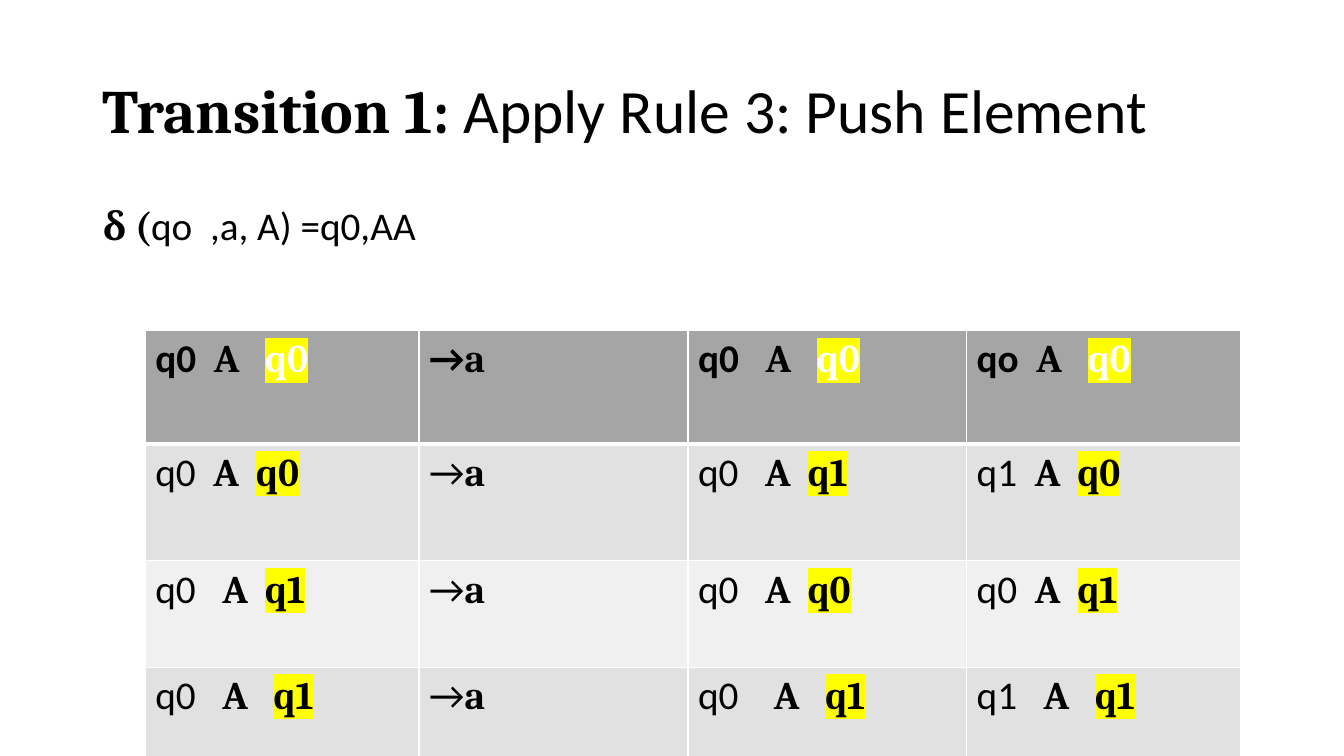
from lxml.etree import SubElement
from pptx import Presentation
from pptx.dml.color import RGBColor
from pptx.enum.text import MSO_ANCHOR, MSO_AUTO_SIZE, PP_ALIGN
from pptx.oxml import parse_xml
from pptx.oxml.ns import nsdecls, qn
from pptx.util import Cm, Pt

TITLE = ("Transition 1: ", "Apply Rule 3: Push Element")
FORMULA = ("δ (", "qo  ,a, A) =q0,AA")
TRANSITIONS = [
    [("q0  ", "A   ", "q0"), ("→", "a"), ("q0   ", "A   ", "q0"), ("qo  ", "A   ", "q0")],
    [("q0  ", "A  ", "q0"), ("→", "a"), ("q0   ", "A  ", "q1"), ("q1  ", "A  ", "q0")],
    [("q0   ", "A  ", "q1"), ("→", "a"), ("q0   ", "A  ", "q0"), ("q0  ", "A  ", "q1")],
    [("q0   ", "A   ", "q1"), ("→", "a"), ("q0    ", "A   ", "q1"), ("q1   ", "A   ", "q1")],
]
THEME = {
    "serif": "Cambria", "sans": "Calibri",
    "ink": "000000", "paper": "FFFFFF", "marker": "FFFF00",
    "header": "A5A5A5", "bands": ("E1E1E1", "F0F0F0"),
    "title_size": 44, "body_size": 28,
}
TITLE_BOX = (Cm(2.33), Cm(1.01), Cm(29.21), Cm(3.68))
FORMULA_BOX = (Cm(2.33), Cm(5.07), Cm(29.21), Cm(12.09))
TABLE_LEFT, TABLE_TOP = Cm(3.66), Cm(8.33)
COLUMN_WIDTHS = [Cm(6.9), Cm(6.78), Cm(7.02), Cm(6.9)]
ROW_HEIGHTS = [Cm(2.86), Cm(2.94), Cm(2.68), Cm(2.68)]


def apply(target, values):
    for name, value in values.items():
        setattr(target, name, value)


def add_span(para, text, face, size, bold, color=THEME["ink"], marker=None):
    span = para.add_run()
    span.text = text
    apply(span.font, {"name": THEME[face], "size": Pt(size), "bold": bold})
    span.font.color.rgb = RGBColor.from_string(color)
    if marker:
        highlight = parse_xml(f'<a:highlight {nsdecls("a")}><a:srgbClr val="{marker}"/></a:highlight>')
        span.font._element.find(qn("a:solidFill")).addnext(highlight)


def fill_placeholder(box, place, texts, size, anchor, space_before):
    apply(box, dict(zip(("left", "top", "width", "height"), place)))
    apply(box.text_frame, {"word_wrap": True, "auto_size": MSO_AUTO_SIZE.NONE,
                           "vertical_anchor": anchor})
    para = box.text_frame.paragraphs[0]
    apply(para, {"alignment": PP_ALIGN.LEFT, "line_spacing": 0.9,
                 "space_before": Pt(space_before)})
    for text, face in zip(texts, ("serif", "sans")):
        add_span(para, text, face, size, face == "serif")
    return para


def remove_bullet(para):
    properties = para._p.get_or_add_pPr()
    apply_indent = {"marL": "0", "indent": "0"}
    for name, value in apply_indent.items():
        properties.set(name, value)
    SubElement(properties, qn("a:buNone"))


def set_borders(cell, widths):
    properties = cell._tc.get_or_add_tcPr()
    for position, (side, width) in enumerate(widths.items()):
        line = parse_xml(
            f'<a:{side} {nsdecls("a")} w="{Pt(width)}"><a:solidFill>'
            f'<a:srgbClr val="{THEME["paper"]}"/></a:solidFill></a:{side}>')
        properties.insert(position, line)


def fill_cell(cell, texts, row):
    header = row == 0
    color = THEME["header"] if header else THEME["bands"][(row - 1) % 2]
    cell.fill.solid()
    cell.fill.fore_color.rgb = RGBColor.from_string(color)
    set_borders(cell, {"lnL": 1, "lnR": 1, "lnT": 3 if row == 1 else 1, "lnB": 3 if header else 1})
    para = cell.text_frame.paragraphs[0]
    marked_ink = THEME["paper"] if header else THEME["ink"]
    styles = [
        ("sans", THEME["body_size"], header),
        ("serif", THEME["body_size"], True),
        ("serif", THEME["body_size"], True, marked_ink, THEME["marker"]),
    ]
    for text, style in zip(texts, styles):
        add_span(para, text, *style)


def add_transition_table(page):
    table = page.shapes.add_table(
        len(ROW_HEIGHTS), len(COLUMN_WIDTHS), TABLE_LEFT, TABLE_TOP,
        sum(COLUMN_WIDTHS), sum(ROW_HEIGHTS)).table
    for column, width in zip(table.columns, COLUMN_WIDTHS):
        column.width = width
    for row, height in zip(table.rows, ROW_HEIGHTS):
        row.height = height
    for row, entries in enumerate(TRANSITIONS):
        for column, texts in enumerate(entries):
            fill_cell(table.cell(row, column), texts, row)


def main():
    deck = Presentation()
    apply(deck, {"slide_width": Cm(33.87), "slide_height": Cm(19.05)})
    page = deck.slides.add_slide(deck.slide_layouts[1])
    title, body = page.placeholders
    fill_placeholder(title, TITLE_BOX, TITLE, THEME["title_size"], MSO_ANCHOR.MIDDLE, 0)
    formula = fill_placeholder(body, FORMULA_BOX, FORMULA, THEME["body_size"], MSO_ANCHOR.TOP, 10)
    remove_bullet(formula)
    add_transition_table(page)
    deck.save("out.pptx")


if __name__ == "__main__":
    main()
